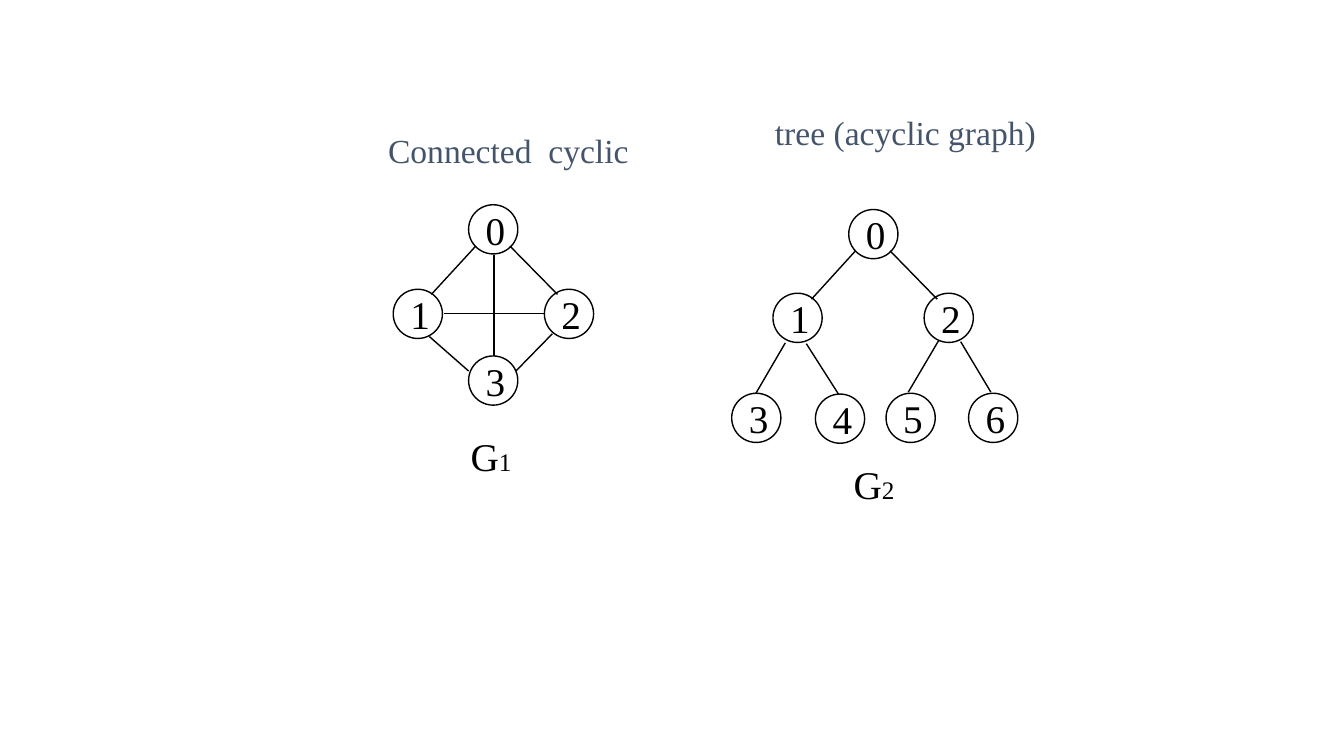
from dataclasses import dataclass

from pptx import Presentation
from pptx.dml.color import RGBColor
from pptx.enum.shapes import MSO_CONNECTOR, MSO_SHAPE
from pptx.enum.text import MSO_ANCHOR, MSO_AUTO_SIZE, PP_ALIGN
from pptx.oxml.ns import qn
from pptx.util import Cm, Pt
from lxml import etree

OVAL = MSO_SHAPE.OVAL
STRAIGHT = MSO_CONNECTOR.STRAIGHT
MIDDLE, TOP = MSO_ANCHOR.MIDDLE, MSO_ANCHOR.TOP
LEFT = PP_ALIGN.LEFT
FIT_SHAPE = MSO_AUTO_SIZE.SHAPE_TO_FIT_TEXT


@dataclass(frozen=True)
class Theme:
    font: str = "Times New Roman"
    ink: RGBColor = RGBColor(0x00, 0x00, 0x00)
    paper: RGBColor = RGBColor(0xFF, 0xFF, 0xFF)
    heading: RGBColor = RGBColor(0x44, 0x54, 0x6A)
    node_size: int = 28
    heading_size: int = 24
    index_size: int = 18
    line_width: int = 1


THEME = Theme()
NODE_DIAMETER = 1.24

# Graph data in centimetres: node corners in label order, edge end points
CYCLIC_NODES = [(11.81, 5.16), (9.91, 7.29), (13.72, 7.29), (11.81, 8.97)]
CYCLIC_EDGES = [
    (12.45, 6.43, 12.45, 8.97),
    (11.18, 7.9, 13.72, 7.9),
    (11.99, 6.2, 10.87, 7.42),
    (12.85, 6.2, 14.05, 7.42),
    (10.82, 8.48, 11.81, 9.35),
    (13.92, 8.41, 13.0, 9.35),
]
TREE_NODES = [
    (21.39, 5.28),
    (19.48, 7.39), (23.29, 7.39),
    (18.44, 9.91), (20.55, 9.93), (22.33, 9.91), (24.41, 9.91),
]
TREE_EDGES = [
    (21.56, 6.32, 20.45, 7.54),
    (22.43, 6.32, 23.62, 7.54),
    (19.79, 8.64, 19.05, 9.91),
    (20.32, 8.66, 21.13, 9.93),
    (23.65, 8.59, 22.89, 9.88),
    (24.21, 8.61, 24.97, 9.88),
]


def write_runs(shape, runs, color, anchor):
    """Fill a shape with one left-aligned line of (text, size) runs."""
    frame = shape.text_frame
    frame.word_wrap = False
    frame.vertical_anchor = anchor
    paragraph = frame.paragraphs[0]
    paragraph.alignment = LEFT
    for text, size in runs:
        run = paragraph.add_run()
        run.text = text
        run.font.name = THEME.font
        run.font.size = Pt(size)
        run.font.color.rgb = color


def style_line(line):
    line.color.rgb = THEME.ink
    line.width = Pt(THEME.line_width)


def add_node(slide, label, left, top):
    shape = slide.shapes.add_shape(
        OVAL, Cm(left), Cm(top), Cm(NODE_DIAMETER), Cm(NODE_DIAMETER))
    shape.shadow.inherit = False
    shape.fill.solid()
    shape.fill.fore_color.rgb = THEME.paper
    style_line(shape.line)
    write_runs(shape, [(label, THEME.node_size)], THEME.ink, MIDDLE)


def add_edge(slide, *ends):
    connector = slide.shapes.add_connector(STRAIGHT, *map(Cm, ends))
    style_line(connector.line)
    etree.SubElement(connector._element.spPr, qn("a:effectLst"))


def add_text(slide, box, runs, color, anchor):
    shape = slide.shapes.add_textbox(*map(Cm, box))
    write_runs(shape, runs, color, anchor)
    shape.text_frame.auto_size = FIT_SHAPE


def add_heading(slide, text, left, top, width):
    add_text(slide, (left, top, width, 1.27),
             [(text, THEME.heading_size)], THEME.heading, MIDDLE)


def add_graph_name(slide, index, left, top):
    runs = [("G", THEME.node_size), (index, THEME.index_size)]
    add_text(slide, (left, top, 1.55, 1.45), runs, THEME.ink, TOP)


def add_graph(slide, nodes, edges):
    for number, (left, top) in enumerate(nodes):
        add_node(slide, str(number), left, top)
    for ends in edges:
        add_edge(slide, *ends)


def main():
    presentation = Presentation()
    presentation.slide_width = Cm(33.87)
    presentation.slide_height = Cm(19.05)
    slide = presentation.slides.add_slide(presentation.slide_layouts[6])

    # Connected cyclic graph
    add_graph(slide, CYCLIC_NODES, CYCLIC_EDGES)
    add_graph_name(slide, "1", 11.61, 10.77)
    add_heading(slide, "Connected  cyclic", 9.53, 3.15, 6.63)

    # Tree
    add_graph(slide, TREE_NODES, TREE_EDGES)
    add_graph_name(slide, "2", 21.26, 11.48)
    add_heading(slide, "tree (acyclic graph)", 19.28, 2.69, 7.09)

    presentation.save("out.pptx")


if __name__ == "__main__":
    main()
